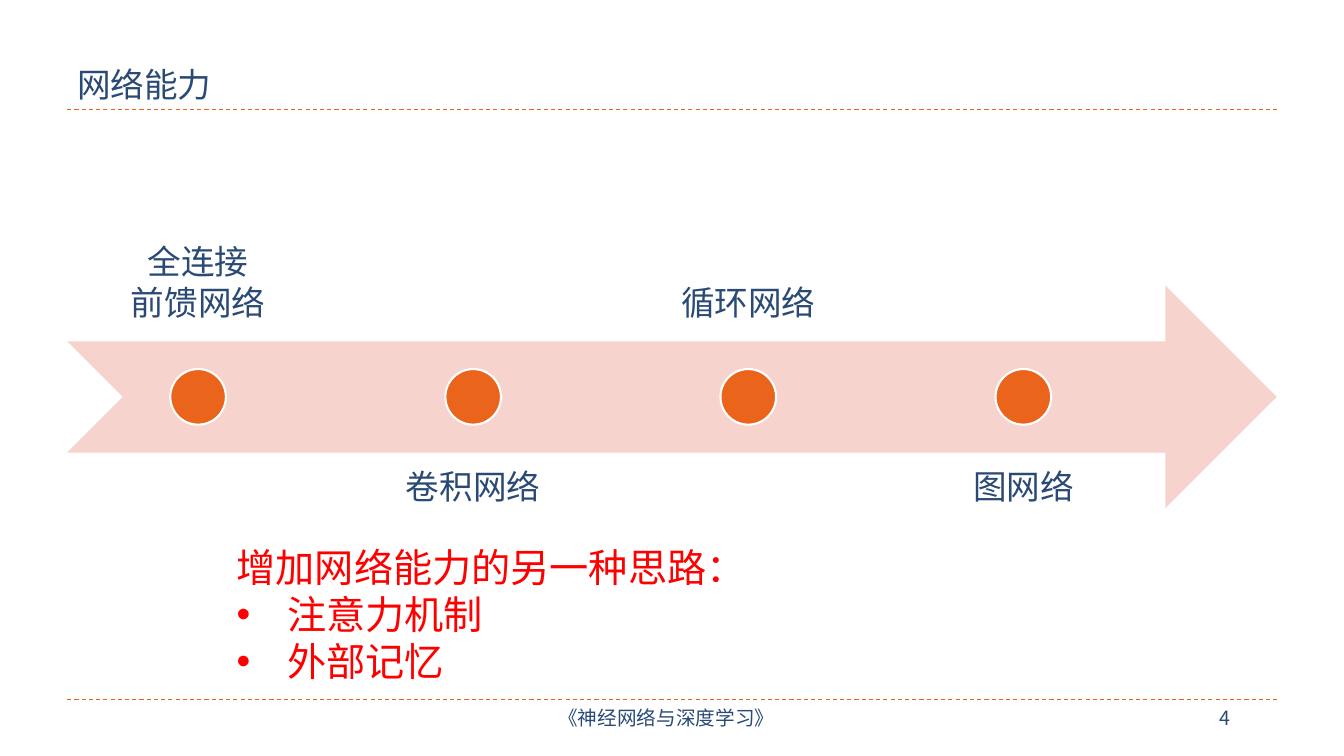
from dataclasses import dataclass

from lxml import etree
from pptx import Presentation
from pptx.dml.color import RGBColor
from pptx.enum.dml import MSO_LINE
from pptx.enum.shapes import MSO_CONNECTOR, MSO_SHAPE
from pptx.enum.text import MSO_ANCHOR, PP_ALIGN
from pptx.oxml.ns import qn
from pptx.util import Pt

DASH = MSO_LINE.DASH
STRAIGHT = MSO_CONNECTOR.STRAIGHT
ARROW, DOT = MSO_SHAPE.NOTCHED_RIGHT_ARROW, MSO_SHAPE.OVAL
TOP, BOTTOM = MSO_ANCHOR.TOP, MSO_ANCHOR.BOTTOM
LEFT, CENTER = PP_ALIGN.LEFT, PP_ALIGN.CENTER


@dataclass(frozen=True)
class Theme:
    navy: RGBColor = RGBColor(0x2A, 0x4A, 0x75)
    orange: RGBColor = RGBColor(0xEB, 0x64, 0x1B)
    pink: RGBColor = RGBColor(0xF7, 0xD3, 0xCD)
    red: RGBColor = RGBColor(0xFF, 0, 0)
    white: RGBColor = RGBColor(0xFF, 0xFF, 0xFF)
    body: str = "Arial"
    label: str = "Times New Roman"
    cjk: str = "Noto Sans CJK SC"
    small: int = 14
    medium: int = 24
    large: int = 28


T = Theme()


def add_text(s, box, lines, size, font, color, align=LEFT, anchor=TOP,
             inset=(7.2, 3.6), wrap=True, **para_format):
    """Add one paragraph per line and return the paragraphs."""
    tf = s.shapes.add_textbox(*map(Pt, box)).text_frame
    dx, dy = map(Pt, inset)
    frame_format = dict(word_wrap=wrap, vertical_anchor=anchor, margin_left=dx,
                        margin_right=dx, margin_top=dy, margin_bottom=dy)
    for name, value in frame_format.items():
        setattr(tf, name, value)
    for i, line in enumerate(lines):
        p = tf.paragraphs[0] if i == 0 else tf.add_paragraph()
        for name, value in dict(alignment=align, **para_format).items():
            setattr(p, name, value)
        r = p.add_run()
        r.text = line
        for name, value in dict(size=Pt(size), name=font).items():
            setattr(r.font, name, value)
        r.font.color.rgb = color
        ea = etree.SubElement(r.font._element, qn("a:ea"))
        ea.set("typeface", T.cjk)
    return tf.paragraphs


def add_rule(s, x, y, w):
    line = s.shapes.add_connector(STRAIGHT, Pt(x), Pt(y), Pt(x + w), Pt(y))
    line.line.color.rgb = T.orange
    line.line.width = Pt(0.75)
    line.line.dash_style = DASH
    etree.SubElement(line._element.spPr, qn("a:effectLst"))


def add_solid(s, kind, box, fill):
    sp = s.shapes.add_shape(kind, *map(Pt, box))
    sp.shadow.inherit = False
    sp.fill.solid()
    sp.fill.fore_color.rgb = fill
    sp.line.fill.background()
    return sp


def add_header(s, x, y, w, h, title):
    add_rule(s, x, y + h, w)
    add_text(s, (x, y, w, h), [title], T.medium, T.body, T.navy, anchor=BOTTOM)


def add_footer(s, x, y, w, book, number):
    add_rule(s, x, y, w)
    add_text(s, (x + w / 2 - 160, y + 1, 312, 29), [book], T.small, T.cjk,
             T.navy, CENTER, inset=(5, 3))
    add_text(s, (x + w - 48, y + 1, 30, 24), [number], T.small, T.cjk,
             T.navy, wrap=False)


def add_timeline(s, x, y, w, h, steps):
    """Draw dots along an arrow, with labels above and below in turn."""
    add_solid(s, ARROW, (x, y, w, h), T.pink)
    label_w, pitch, dot = 187, 196.5, h / 4
    for i, lines in enumerate(steps):
        left = x + i * pitch
        above = i % 2 == 0
        label_y = y - h * 0.75 if above else y + h * 0.75
        paragraphs = add_text(s, (left, label_y, label_w, h), lines, T.medium,
                              T.label, T.navy, CENTER,
                              BOTTOM if above else TOP, (13.5, 13.5),
                              line_spacing=0.9)
        for p in paragraphs[1:]:
            p.space_before = Pt(3)
        sp = add_solid(s, DOT, (left + (label_w - dot) / 2,
                                y + (h - dot) / 2, dot, dot), T.orange)
        sp.line.color.rgb = T.white
        sp.line.width = Pt(1.5)


def add_ideas(s, x, y, w, h, heading, ideas):
    paragraphs = add_text(s, (x, y, w, h), [heading, *ideas], T.large, T.body,
                          T.red)
    for p in paragraphs[1:]:
        pPr = p._p.get_or_add_pPr()
        for name, value in dict(marL=Pt(36), indent=-Pt(36)).items():
            pPr.set(name, str(value))
        etree.SubElement(pPr, qn("a:buFont")).set("typeface", T.body)
        etree.SubElement(pPr, qn("a:buChar")).set("char", "•")


def main():
    prs = Presentation()
    prs.slide_width, prs.slide_height = Pt(960), Pt(540)
    s = prs.slides.add_slide(prs.slide_layouts[6])
    margin, width = 48, 864
    add_header(s, margin, 12, width, 66, "网络能力")
    add_footer(s, margin, 500, width, "《神经网络与深度学习》", "4")
    add_timeline(s, margin, 204, width, 159, [
        ["全连接", "前馈网络"], ["卷积网络"], ["循环网络"], ["图网络"]])
    add_ideas(s, 162, 384.5, 606, 109, "增加网络能力的另一种思路：",
              ["注意力机制", "外部记忆"])
    prs.save("out.pptx")


if __name__ == "__main__":
    main()
